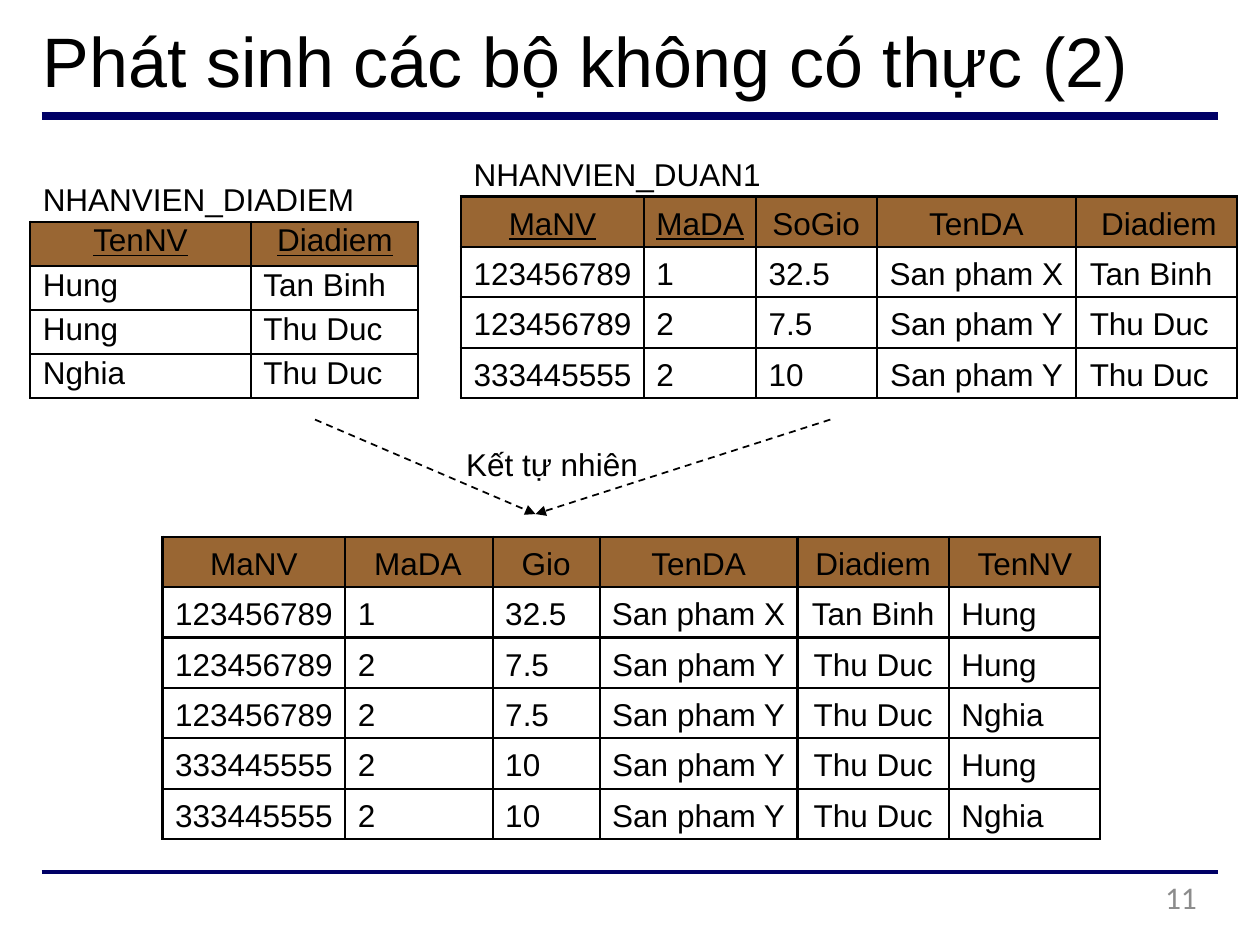
import pptx
import pptx.dml.color
import pptx.enum.dml
import pptx.enum.shapes
import pptx.enum.text
import pptx.oxml
import pptx.oxml.ns
import pptx.util

ALIGN = pptx.enum.text.PP_ALIGN
CENTER = "center"


def color(hex_string):
    return pptx.dml.color.RGBColor.from_string(hex_string)


class SlideBuilder:
    """Draw styled elements on a grid of 100 columns by 75 rows."""

    font_name = "Arial"
    ink = "000000"
    rule_color = "000066"
    header_fill = "996633"
    text_size = 18

    def __init__(self, presentation):
        self.column = presentation.slide_width / 100
        self.row = presentation.slide_height / 75
        self.slide = presentation.slides.add_slide(presentation.slide_layouts[5])

    def x(self, columns):
        return pptx.util.Emu(round(columns * self.column))

    def y(self, rows):
        return pptx.util.Emu(round(rows * self.row))

    def add_text(self, paragraph, text, size=None, font=None, ink=None, underline=False):
        run = paragraph.add_run()
        run.text = text
        run.font.name = font or self.font_name
        run.font.size = pptx.util.Pt(size or self.text_size)
        run.font.color.rgb = color(ink or self.ink)
        run.font.bold = False
        run.font.underline = underline

    def frame(self, shape, align, top):
        frame = shape.text_frame
        frame.word_wrap = True
        frame.auto_size = pptx.enum.text.MSO_AUTO_SIZE.NONE
        frame.vertical_anchor = pptx.enum.text.MSO_ANCHOR.TOP
        frame.margin_left = self.x(0.1)
        frame.margin_right = frame.margin_bottom = 0
        frame.margin_top = self.y(top)
        paragraph = frame.paragraphs[0]
        paragraph.alignment = align
        return paragraph

    def title(self, text, left, top, width, height):
        shape = self.slide.shapes.title
        shape.left, shape.top = self.x(left), self.y(top)
        shape.width, shape.height = self.x(width), self.y(height)
        self.add_text(self.frame(shape, ALIGN.LEFT, 0.3), text, size=40)

    def label(self, text, left, top, width, height=3.3, align=ALIGN.LEFT, inset=0.3, **style):
        shape = self.slide.shapes.add_textbox(
            self.x(left), self.y(top), self.x(width), self.y(height))
        self.add_text(self.frame(shape, align, inset), text, **style)

    def line(self, start, end, width, ink, arrow=False):
        connector = self.slide.shapes.add_connector(
            pptx.enum.shapes.MSO_CONNECTOR.STRAIGHT,
            self.x(start[0]), self.y(start[1]), self.x(end[0]), self.y(end[1]))
        connector.line.width = pptx.util.Pt(width)
        connector.line.color.rgb = color(ink)
        if arrow:
            connector.line.dash_style = pptx.enum.dml.MSO_LINE.DASH
            tail = pptx.oxml.parse_xml(
                f'<a:tailEnd {pptx.oxml.ns.nsdecls("a")} type="triangle"/>')
            connector.line._get_or_add_ln().append(tail)
        properties = connector._element.spPr
        properties.append(pptx.oxml.parse_xml(
            f'<a:effectLst {pptx.oxml.ns.nsdecls("a")}/>'))

    def borders(self, cell):
        properties = cell._tc.get_or_add_tcPr()
        for index, side in enumerate("LRTB"):
            properties.insert(index, pptx.oxml.parse_xml(
                f'<a:ln{side} {pptx.oxml.ns.nsdecls("a")} w="19050"><a:solidFill>'
                f'<a:srgbClr val="{self.ink}"/></a:solidFill></a:ln{side}>'))

    def table(self, left, top, widths, row_height, rows, header_indents, body_indents,
              keys=0, inset=0.8, spacing=None):
        frame = self.slide.shapes.add_table(
            len(rows), len(widths), self.x(left), self.y(top),
            self.x(sum(widths)), self.y(row_height * len(rows)))
        table = frame.table
        table.first_row = table.horz_banding = False
        for column, width in zip(table.columns, widths):
            column.width = self.x(width)
        for row_index, values in enumerate(rows):
            table.rows[row_index].height = self.y(row_height)
            is_header = row_index == 0
            indents = header_indents if is_header else body_indents
            for column_index, (value, indent) in enumerate(zip(values, indents)):
                cell = table.cell(row_index, column_index)
                centered = indent == CENTER
                cell.margin_left = 0 if centered else self.x(indent)
                cell.margin_right = cell.margin_bottom = 0
                cell.margin_top = self.y(inset)
                if is_header:
                    cell.fill.solid()
                    cell.fill.fore_color.rgb = color(self.header_fill)
                else:
                    cell.fill.background()
                self.borders(cell)
                paragraph = cell.text_frame.paragraphs[0]
                paragraph.alignment = ALIGN.CENTER if centered else ALIGN.LEFT
                if spacing:
                    paragraph.line_spacing = pptx.util.Pt(spacing)
                self.add_text(paragraph, value, underline=is_header and column_index < keys)


def main():
    presentation = pptx.Presentation()
    presentation.slide_width = pptx.util.Inches(10)
    presentation.slide_height = pptx.util.Inches(7.5)
    builder = SlideBuilder(presentation)

    for height, width in ((9.2, 4.5), (69.2, 2.25)):
        builder.line((3.3, height), (96.7, height), width, builder.rule_color)
    builder.title("Phát sinh các bộ không có thực (2)", 3.3, 1.1, 92.4, 6.9)

    builder.table(
        2.4, 17.6, (17.5, 13.3), 3.5,
        (("TenNV", "Diadiem"),
         ("Hung", "Tan Binh"),
         ("Hung", "Thu Duc"),
         ("Nghia", "Thu Duc")),
        (5, 2.1), (1, 1), keys=2, inset=0, spacing=21.1)
    builder.label("NHANVIEN_DIADIEM", 3.3, 14, 25)

    builder.table(
        36.6, 15.6, (14.5, 8.9, 9.6, 15.8, 12.8), 4,
        (("MaNV", "MaDA", "SoGio", "TenDA", "Diadiem"),
         ("123456789", "1", "32.5", "San pham X", "Tan Binh"),
         ("123456789", "2", "7.5", "San pham Y", "Thu Duc"),
         ("333445555", "2", "10", "San pham Y", "Thu Duc")),
        (CENTER, 1, 1.3, CENTER, 2), (CENTER, 1, 1, CENTER, 1.1), keys=2)
    builder.label("NHANVIEN_DUAN1", 37.5, 12, 23)

    product_x = ("32.5", "San pham X", "Tan Binh")
    product_y = ("7.5", "San pham Y", "Thu Duc")
    product_y_long = ("10", "San pham Y", "Thu Duc")
    builder.table(
        12.9, 42.6, (14.5, 11.7, 8.5, 15.7, 12, 12), 4,
        (("MaNV", "MaDA", "Gio", "TenDA", "Diadiem", "TenNV"),
         ("123456789", "1", *product_x, "Hung"),
         ("123456789", "2", *product_y, "Hung"),
         ("123456789", "2", *product_y, "Nghia"),
         ("333445555", "2", *product_y_long, "Hung"),
         ("333445555", "2", *product_y_long, "Nghia")),
        (CENTER, 2.3, 2.3, CENTER, CENTER, 2.3), (CENTER, 1, 1, CENTER, CENTER, 1))

    for source in (25, 65.9):
        builder.line((source, 33.3), (42.5, 40.8), 1, builder.ink, arrow=True)
    builder.label("Kết tự nhiên", 36.9, 35, 13.9)
    builder.label("11", 72, 69.7, 23, 3.8, ALIGN.RIGHT, 0, font="Calibri", ink="8C8C8C")
    presentation.save("out.pptx")


if __name__ == "__main__":
    main()
